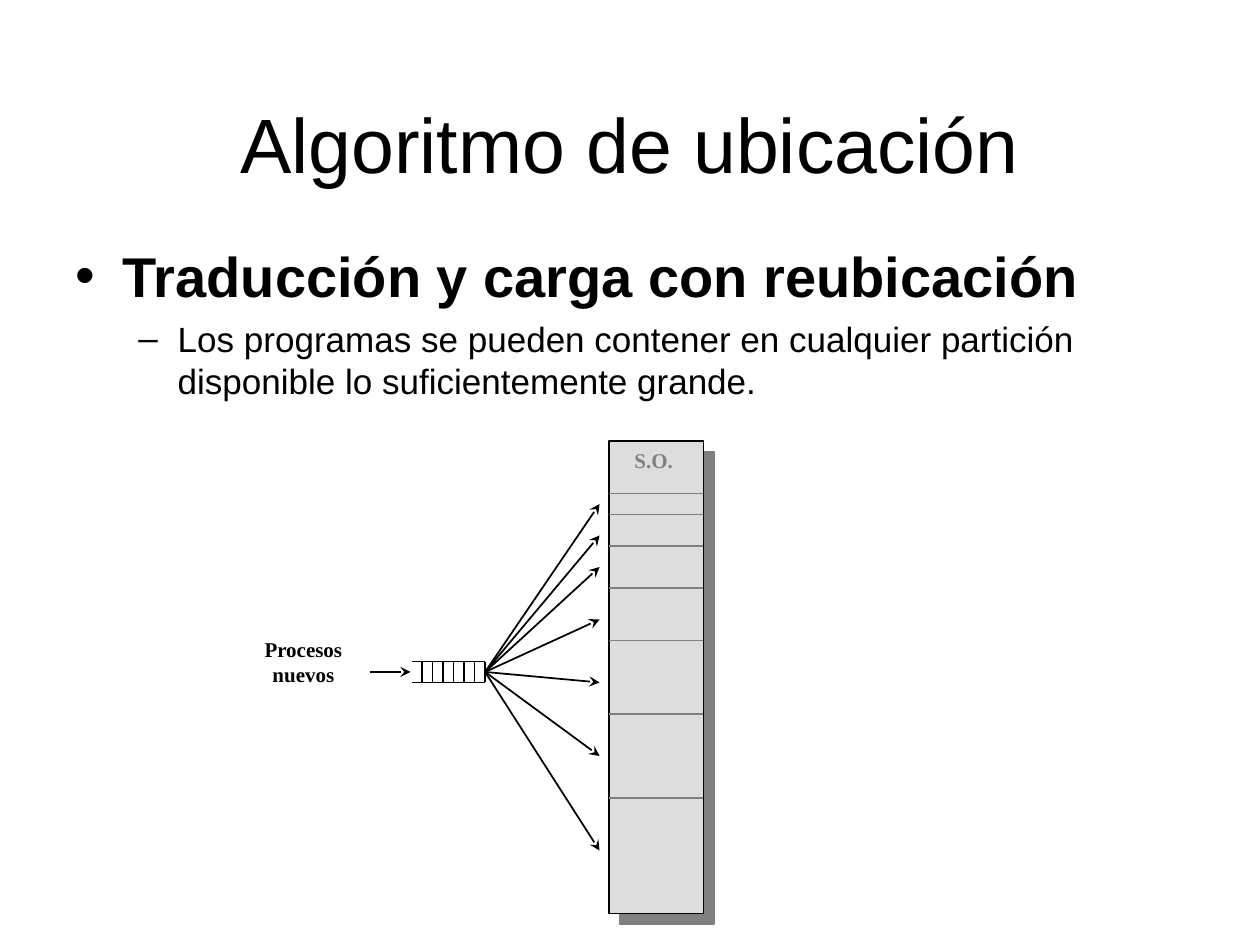
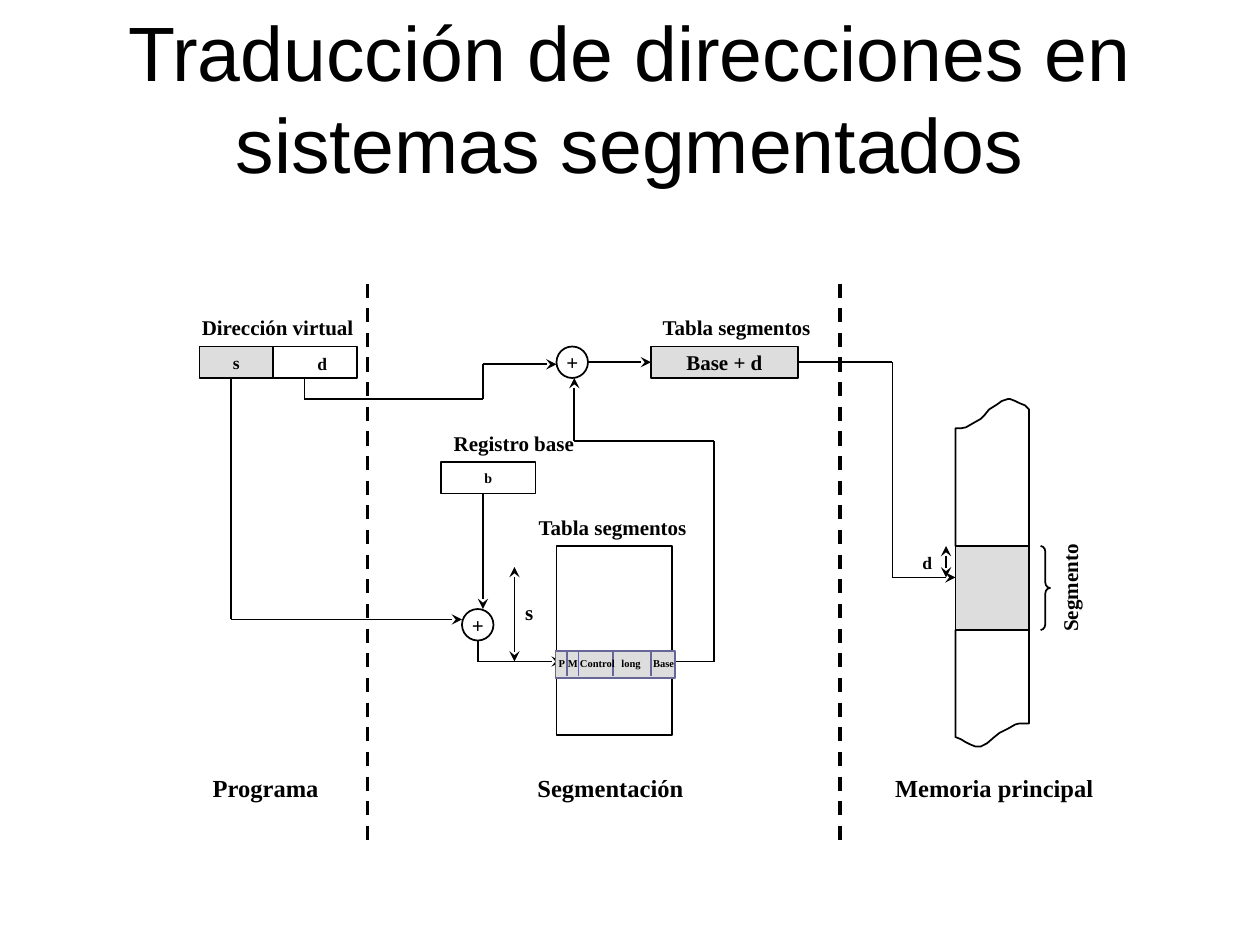
import itertools
from dataclasses import dataclass

import pptx
import pptx.dml.color
import pptx.enum.dml
import pptx.enum.shapes
import pptx.enum.text
import pptx.oxml
import pptx.oxml.ns
import pptx.util

COLORS = {
    "ink": "000000",
    "paper": "FFFFFF",
    "memory": "DDDDDD",
    "muted": "808080",
    "field": "666699",
}
SANS, SERIF = "Arial", "Times New Roman"
SHAPES = pptx.enum.shapes.MSO_SHAPE
ALIGN = pptx.enum.text.PP_ALIGN
ANCHOR = pptx.enum.text.MSO_ANCHOR
FIT = pptx.enum.text.MSO_AUTO_SIZE
TITLE_BOX = (6, 3.6, 108, 15)


def grid(steps):
    """Length of a number of grid steps, 120 of which span the slide."""
    return pptx.util.Cm(steps * 25.4 / 120)


def color(name):
    return pptx.dml.color.RGBColor.from_string(COLORS[name])


def add_xml(parent, tag, children="", **attributes):
    """Append one DrawingML element, built from its tag and attributes."""
    listed = " ".join(f'{key}="{value}"' for key, value in attributes.items())
    namespace = pptx.oxml.ns.nsdecls("a")
    parent.append(pptx.oxml.parse_xml(
        f"<a:{tag} {namespace} {listed}>{children}</a:{tag}>"))


def write_text(frame, text, size=12, font=SERIF, ink="ink", bold=True,
               align=ALIGN.CENTER, anchor=ANCHOR.TOP, wrap=False, fit=FIT.NONE):
    """Fill a text frame, one paragraph for each line of the text."""
    frame.word_wrap = wrap
    frame.auto_size = fit
    frame.vertical_anchor = anchor
    for index, line in enumerate(text.split("\n")):
        para = frame.add_paragraph() if index else frame.paragraphs[0]
        para.alignment = align
        span = para.add_run()
        span.text = line
        span.font.size = pptx.util.Pt(size)
        span.font.name = font
        span.font.bold = bold
        span.font.color.rgb = color(ink)


@dataclass
class Region:
    """Part of a page; everything in it is placed in steps from its corner."""
    page: object
    left: float
    top: float
    width: float
    height: float

    def point(self, x, y):
        return grid(self.left + x), grid(self.top + y)

    def box(self, x, y, width, height):
        return (*self.point(x, y), grid(width), grid(height))

    def inner(self, x, y, width, height):
        return Region(self.page, self.left + x, self.top + y, width, height)

    def paint(self, shape, fill, outline):
        shape.shadow.inherit = False
        if fill:
            shape.fill.solid()
            shape.fill.fore_color.rgb = color(fill)
        else:
            shape.fill.background()
        shape.line.color.rgb = color(outline)
        shape.line.width = pptx.util.Pt(1)

    def shape(self, box, fill="paper", outline="ink", kind=SHAPES.RECTANGLE,
              text="", size=12):
        shape = self.page.shapes.add_shape(kind, *self.box(*box))
        self.paint(shape, fill, outline)
        if text:
            frame = shape.text_frame
            frame.margin_left = frame.margin_right = 0
            frame.margin_top = frame.margin_bottom = 0
            write_text(frame, text, size, anchor=ANCHOR.MIDDLE)
        return shape

    def outline(self, points):
        first, *rest = [self.point(x, y) for x, y in points]
        builder = self.page.shapes.build_freeform(*first)
        builder.add_line_segments(rest, close=True)
        self.paint(builder.convert_to_shape(), "paper", "ink")

    def label(self, text, box, turn=0, **style):
        label = self.page.shapes.add_textbox(*self.box(*box))
        label.rotation = turn
        write_text(label.text_frame, text, fit=FIT.SHAPE_TO_FIT_TEXT, **style)

    def line(self, start, end, ink="ink", width=1, heads=()):
        """Straight line; heads names the arrow ends, headEnd before tailEnd."""
        line = self.page.shapes.add_connector(
            pptx.enum.shapes.MSO_CONNECTOR.STRAIGHT,
            *self.point(*start), *self.point(*end))
        line.line.color.rgb = color(ink)
        line.line.width = pptx.util.Pt(width)
        for head in heads:
            add_xml(line.line._get_or_add_ln(), head, type="stealth")
        add_xml(line._element.spPr, "effectLst")
        return line

    def arrow(self, start, end):
        return self.line(start, end, heads=("tailEnd",))

    def double_arrow(self, start, end):
        self.line(start, end, heads=("headEnd", "tailEnd"))

    def route(self, *points):
        """Bent path with an arrowhead at its end; returns its lines."""
        *legs, last = itertools.pairwise(points)
        return [self.line(*leg) for leg in legs] + [self.arrow(*last)]


def add_page(deck, title):
    page = deck.slides.add_slide(deck.slide_layouts[6])
    box = page.shapes.add_textbox(*map(grid, TITLE_BOX))
    write_text(box.text_frame, title, 44, SANS, bold=False,
               anchor=ANCHOR.BOTTOM, wrap=True)
    return page


def bulleted_text(region):
    box = region.page.shapes.add_textbox(
        *region.box(0, 0, region.width, region.height))
    frame = box.text_frame
    write_text(frame, "Traducción y carga con reubicación\n"
               "Los programas se pueden contener en cualquier partición "
               "disponible lo suficientemente grande.",
               font=SANS, align=ALIGN.LEFT, wrap=True)
    levels = [("•", 4.5, 4.5, 32, True, 0), ("–", 9.75, 3.75, 20, False, 5)]
    for para, level in zip(frame.paragraphs, levels):
        bullet, margin, hanging, size, bold, before = level
        para.space_before = pptx.util.Pt(before)
        properties = para._p.get_or_add_pPr()
        properties.set("marL", str(grid(margin)))
        properties.set("indent", str(-grid(hanging)))
        add_xml(properties, "buFont", typeface=SANS)
        add_xml(properties, "buChar", char=bullet)
        span = para.runs[0]
        span.font.size = pptx.util.Pt(size)
        span.font.bold = bold


def memory_partitions(region):
    block = region.shape((0, 0, region.width, region.height), "memory")
    effects = block._element.spPr.find(pptx.oxml.ns.qn("a:effectLst"))
    add_xml(effects, "outerShdw", f'<a:srgbClr val="{COLORS["muted"]}"/>',
            dist=pptx.util.Pt(8.5), dir=45 * 60000, algn="ctr", rotWithShape=0)
    for y in itertools.accumulate([5, 2, 3, 4, 5, 7, 8]):
        region.line((0, y), (region.width, y), "muted")
    region.label("S.O.", (1.2, 0, 6.1, 3.6), ink="muted")


def process_queue(region):
    width, height = region.width, region.height
    middle = height / 2
    for y in (0, height):
        region.line((0, y), (width, y))
    for x in range(1, width + 1):
        region.line((x, 0), (x, height))
    region.label("Procesos\nnuevos", (-15.2, -3, 9.8, 6))
    region.arrow((-4, middle), (-0.1, middle))
    for y in (-15, -12, -9, -4, 2, 9, 18):
        region.arrow((width, middle), (17.9, y))


def program_part(region):
    region.shape((1, 6, 7, 3), "memory", text="s", size=10)
    region.shape((8, 6, 8, 3))
    region.label("d", (11, 6, 3.4, 3.2), size=10)
    region.label("Dirección virtual", (0, 2.4, 16.9, 3.6))
    region.label("Programa", (1, 46, 12.6, 4), size=14)


def segmentation_part(region):
    """Draw the registers, adders and table; return the base + d register."""
    region.shape((18, 25, 11, 18))
    region.shape((7, 17, 9, 3), text="b", size=8)
    base_sum = region.shape((27, 6, 14, 3), "memory", text="Base + d")
    for adder in ((9, 31, 3, 3), (18, 6, 3, 3)):
        region.shape(adder, kind=SHAPES.OVAL, text="+")
    region.label("Registro base", (7, 13.4, 13.9, 3.6))
    for x, y in ((15, 21.4), (26.8, 2.4)):
        region.label("Tabla segmentos", (x, y, 16.7, 3.6))
    region.label("s", (13.8, 29.5, 3.2, 3.6))
    region.label("Segmentación", (15, 46, 16.3, 4), size=14)
    region.arrow((11, 20), (11, 31))
    region.double_arrow((14, 36), (14, 27))
    region.route((10.5, 34), (10.5, 36), (18.5, 36))
    region.route((29, 36), (33, 36), (33, 15), (19.7, 15), (19.7, 9))
    region.arrow((21, 7.5), (27, 7.5)).end_connect(base_sum, 1)
    table_entry(region.inner(17.9, 35, 11.4, 2.6))
    return base_sum


def table_entry(region):
    region.shape((0, 0, region.width, region.height), "memory", "field")
    for x in (1.1, 2.2, 5.5, 9.1):
        region.line((x, 0.1), (x, 2.4), "field")
    for text, x, width in (("P", -0.9, 3), ("M", 0, 3.3), ("Control", 1.1, 5.8),
                           ("long", 5.1, 4.2), ("Base", 8.1, 4.4)):
        region.label(text, (x, 0, width, 2.4), size=6)


def main_memory_part(region):
    region.shape((11, 25, 7, 8), "memory")
    region.inner(11, 33, 7, 11).outline([
        (0, 10.2), (0.5, 10.4), (1, 10.7), (1.4, 10.9), (1.9, 11.1), (2.4, 11.1),
        (3, 10.8), (3.7, 10.2), (4.2, 9.8), (5, 9.4), (5.7, 9), (6.1, 8.9),
        (7, 8.9), (7, 0), (0, 0)])
    region.inner(11, 11, 7, 14).outline([
        (7, 1), (6.6, 0.6), (6.1, 0.4), (5.7, 0.2), (5.2, 0), (5, 0), (4.4, 0.2),
        (4, 0.5), (3.2, 1), (2.8, 1.5), (2.4, 1.9), (1.7, 2.3), (1, 2.7),
        (0.5, 2.8), (0, 2.8), (0, 14), (7, 14)])
    brace = region.shape((19.1, 25, 0.9, 8), None, kind=SHAPES.RIGHT_BRACE)
    brace.adjustments[0] = 0.6
    region.double_arrow((10.1, 28), (10.1, 25))
    region.label("d", (6.6, 25, 3.4, 3.2), size=10)
    region.label("Segmento", (16.5, 27.2, 10.8, 3.6), turn=270)
    region.label("Memoria principal", (4, 46, 21.4, 4), size=14)


def segmented_translation(region):
    program_end, segmentation_end = 17, 62
    for x in (program_end, segmentation_end):
        divider = region.line((x, 0), (x, region.height), width=2)
        divider.line.dash_style = pptx.enum.dml.MSO_LINE.DASH
    program_part(region.inner(0, 0, program_end, region.height))
    base_sum = segmentation_part(region.inner(
        program_end, 0, segmentation_end - program_end, region.height))
    main_memory_part(region.inner(
        segmentation_end, 0, region.width - segmentation_end, region.height))
    region.route((4, 9), (4, 32), (26, 32))
    region.route((11, 9), (11, 11), (28, 11), (28, 7.7), (35, 7.7))
    to_memory = region.route((58, 7.5), (67, 7.5), (67, 28), (73, 28))
    to_memory[0].begin_connect(base_sum, 3)


def main():
    deck = pptx.Presentation()
    deck.slide_width, deck.slide_height = grid(120), grid(90)

    page = add_page(deck, "Algoritmo de ubicación")
    bulleted_text(Region(page, 6, 22.4, 107, 54))
    memory_partitions(Region(page, 58, 42, 9, 45))
    process_queue(Region(page, 39.2, 63, 7, 2))

    page = add_page(deck, "Traducción de direcciones en sistemas segmentados")
    segmented_translation(Region(page, 18, 27, 88, 54))

    deck.save("out.pptx")


if __name__ == "__main__":
    main()
